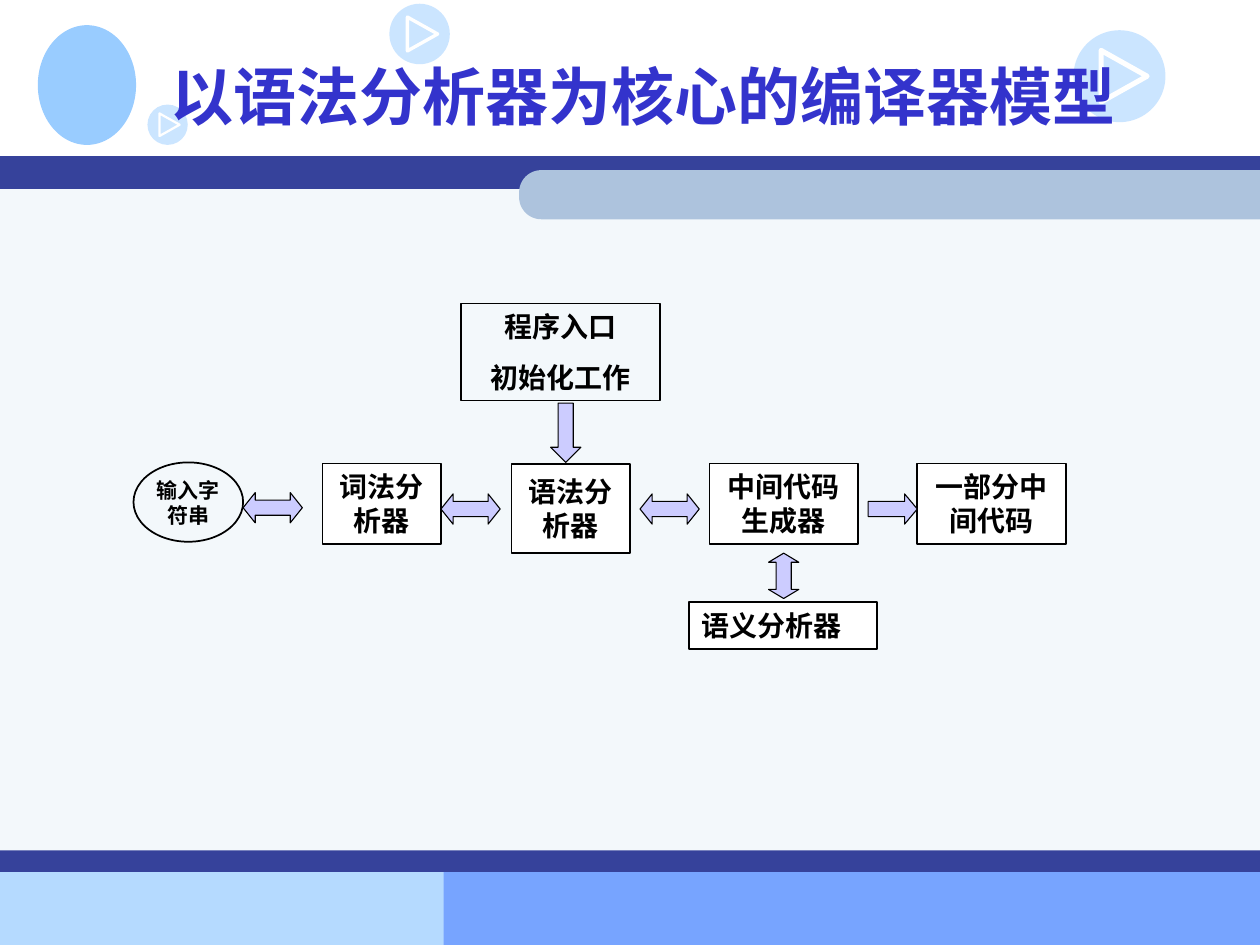
from pptx import Presentation
from pptx.dml.color import RGBColor
from pptx.enum import shapes, text
from pptx.oxml.ns import qn
from pptx.util import Inches, Pt
from lxml import etree

KIND = shapes.MSO_SHAPE
MID = text.MSO_ANCHOR.MIDDLE
TOP = text.MSO_ANCHOR.TOP
LEFT = text.PP_ALIGN.LEFT
CENTER = text.PP_ALIGN.CENTER
SANS = "Noto Sans CJK SC"
SERIF = "Times New Roman"

BARS = [
    (0, 6.92, 4.25, 0.58, "B5DAFF"),
    (3.52, 6.91, 6.48, 0.59, "77A4FF"),
    (0, 1.4, 10, 5.51, "F3F8FB"),
    (0, 1.24, 10, 0.26, "36429B"),
    (0, 6.75, 10, 0.17, "36429B"),
]
DISCS = [(3.09, 0.03, 0.48), (8.52, 0.24, 0.73), (1.17, 0.83, 0.32)]
ROW = 3.68
STAGES = [
    (2.56, ROW, 0.94, 0.64, "词法分析器", CENTER, TOP),
    (4.06, ROW, 0.94, 0.71, "语法分析器", CENTER, MID),
    (5.63, ROW, 1.18, 0.64, "中间代码生成器", CENTER, TOP),
    (7.28, ROW, 1.18, 0.64, "一部分中间代码", CENTER, TOP),
    (5.47, 4.78, 1.49, 0.37, "语义分析器", LEFT, TOP),
]
BOTH = KIND.LEFT_RIGHT_ARROW
ARROWS = [
    (BOTH, 1.93, 3.91, 0.47, 0.24, 0.4, 0),
    (BOTH, 3.5, 3.92, 0.47, 0.24, 0.4, 0),
    (BOTH, 5.08, 3.92, 0.47, 0.24, 0.4, 0),
    (BOTH, 6.04, 4.45, 0.36, 0.24, 0.3, 270),
    (KIND.DOWN_ARROW, 4.37, 3.2, 0.24, 0.47, 0.5, 0),
    (KIND.RIGHT_ARROW, 6.89, 3.92, 0.39, 0.24, 0.42, 0),
]


def color(code):
    return RGBColor.from_string(code)


def paint(item, fill=None, line=None, width=1):
    item.shadow.inherit = False
    if fill:
        item.fill.solid()
        item.fill.fore_color.rgb = color(fill)
    else:
        item.fill.background()
    if line:
        item.line.color.rgb = color(line)
        item.line.width = Pt(width)
    else:
        item.line.fill.background()


def add(slide, kind, x, y, w, h, fill=None, line=None, width=1):
    item = slide.shapes.add_shape(kind, *map(Inches, (x, y, w, h)))
    paint(item, fill, line, width)
    return item


def write(item, lines, size, face=SERIF, ink="000000", align=CENTER,
          anchor=TOP, gap=0):
    frame = item.text_frame
    form = {"word_wrap": True, "vertical_anchor": anchor,
            "auto_size": text.MSO_AUTO_SIZE.NONE}
    for name, value in form.items():
        setattr(frame, name, value)
    frame.text = "\n".join(lines)
    for para in frame.paragraphs:
        para.alignment = align
        para.space_before = Pt(gap)
        run = para.runs[0]
        font = {"size": Pt(size), "bold": True, "name": face}
        for name, value in font.items():
            setattr(run.font, name, value)
        run.font.color.rgb = color(ink)
        east = etree.SubElement(run.font._element, qn("a:ea"))
        east.set("typeface", SANS)


def add_disc(slide, x, y, size):
    """Half-clear disc with a white outlined play sign."""
    disc = add(slide, KIND.OVAL, x, y, size, size, "99CCFF")
    tint = disc.fill._xPr.find(".//" + qn("a:srgbClr"))
    etree.SubElement(tint, qn("a:alpha")).set("val", "50000")
    points = [(Inches(x + a * size), Inches(y + b * size))
              for a, b in ((0.3, 0.22), (0.8, 0.5), (0.3, 0.78))]
    pen = slide.shapes.build_freeform(*points[0])
    pen.add_line_segments(points[1:], close=True)
    paint(pen.convert_to_shape(), None, "FFFFFF", 4 * size)


def add_band(slide, x, y, w, h):
    """Band whose left end is round: a turned shape with two round corners."""
    band = add(slide, KIND.ROUND_2_SAME_RECTANGLE, x + (w - h) / 2,
               y - (w - h) / 2, h, w, "ADC3DD")
    band.adjustments[0] = 0.45
    band.rotation = 270


def add_arrow(slide, kind, x, y, w, h, head, turn):
    arrow = add(slide, kind, x, y, w, h, "CCCCFF", "000000", 0.62)
    arrow.adjustments[0] = 0.5
    arrow.adjustments[1] = head
    arrow.rotation = turn


def add_title(slide, words):
    title = slide.shapes.title
    spot = {"left": 1.25, "top": 0.17, "width": 8.5, "height": 1.17}
    for name, value in spot.items():
        setattr(title, name, Inches(value))
    write(title, [words], 36, SANS, "3333CC", LEFT, MID)
    # Bring the title in front of the backdrop
    slide.shapes._spTree.append(title._element)


def add_backdrop(slide):
    for *place, fill in BARS:
        add(slide, KIND.RECTANGLE, *place, fill)
    add_band(slide, 4.12, 1.35, 5.88, 0.39)
    add(slide, KIND.OVAL, 0.3, 0.2, 0.78, 0.95, "99CCFF")
    for disc in DISCS:
        add_disc(slide, *disc)


def add_flow(slide):
    for *place, words, align, anchor in STAGES:
        box = add(slide, KIND.RECTANGLE, *place, "FFFFFF", "000000")
        write(box, [words], 16, align=align, anchor=anchor,
              gap=10 if anchor == TOP else 0)
    for arrow in ARROWS:
        add_arrow(slide, *arrow)
    add(slide, KIND.OVAL, 1.06, 3.67, 0.87, 0.63, line="000000")
    label = slide.shapes.add_textbox(*map(Inches, (1.14, 3.74, 0.71, 0.5)))
    write(label, ["输入字符串"], 12, SANS, gap=7.5)
    start = add(slide, KIND.RECTANGLE, 3.66, 2.41, 1.58, 0.77, line="000000")
    write(start, ["程序入口", "初始化工作"], 16, gap=10)


def main():
    deck = Presentation()
    deck.slide_width, deck.slide_height = Inches(10), Inches(7.5)
    slide = deck.slides.add_slide(deck.slide_layouts[5])
    add_backdrop(slide)
    add_title(slide, "以语法分析器为核心的编译器模型")
    add_flow(slide)
    deck.save("out.pptx")


if __name__ == "__main__":
    main()
